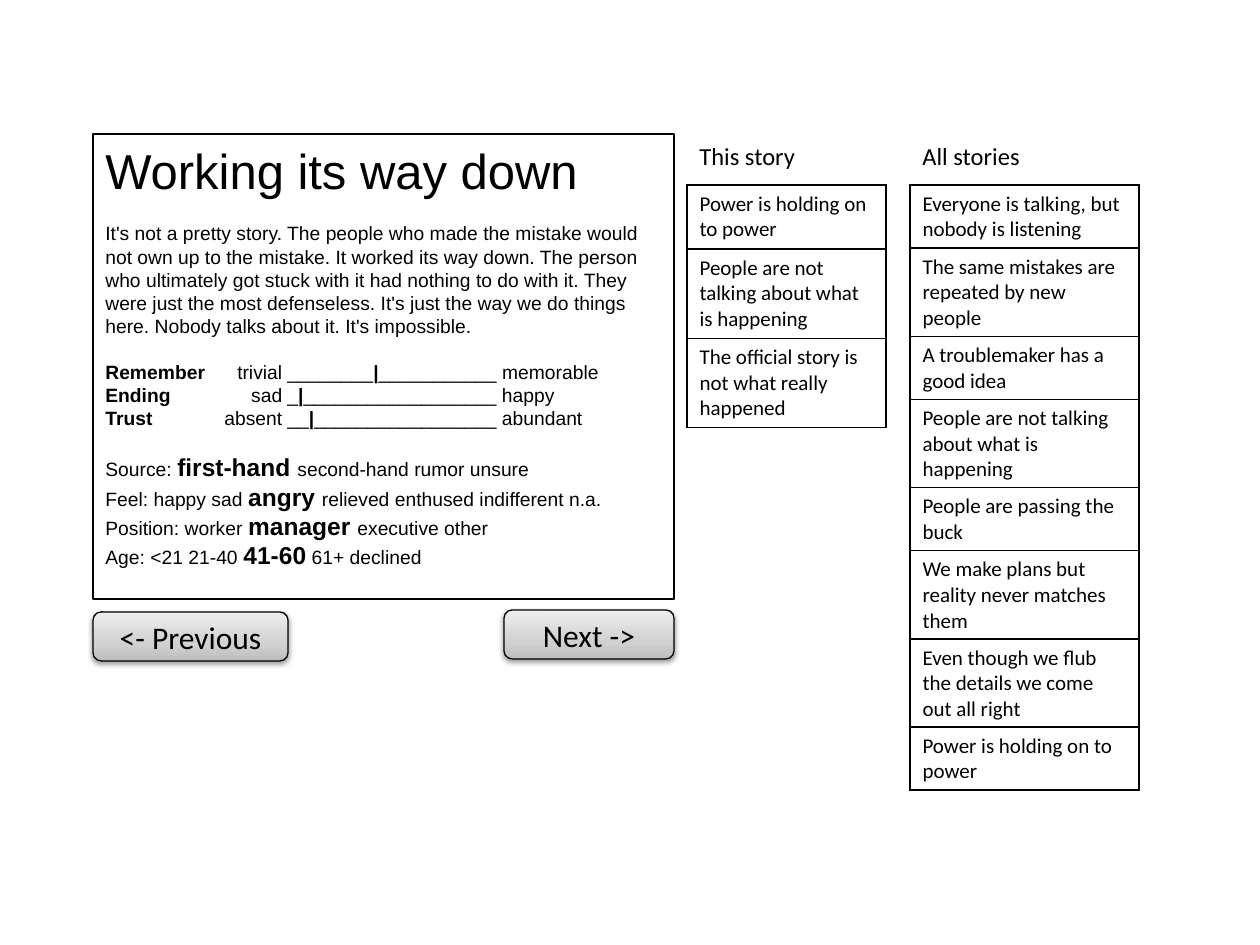
from lxml.etree import SubElement
from pptx import Presentation
from pptx.dml.color import RGBColor as Rgb
from pptx.enum.shapes import MSO_SHAPE as Kind
from pptx.enum.text import MSO_ANCHOR as Anchor, PP_ALIGN as Align
from pptx.oxml.ns import qn
from pptx.util import Pt

PX = 914400 // 126
HUE = {"ink": "000000", "low": "BDBDBD", "mid": "D1D1D1", "high": "EEEEEE"}
GRAD = [(0, "low"), (35, "mid"), (100, "high")]
GAP = 13
TABS = [("r", 177), ("l", 182)]
TITLE = "Working its way down"
STORY = (
    "It's not a pretty story. The people who made the mistake would not own up "
    "to the mistake. It worked its way down. The person who ultimately got stuck "
    "with it had nothing to do with it. They were just the most defenseless. "
    "It's just the way we do things here. Nobody talks about it. It's impossible."
)
SCALES = [
    ("Remember", "trivial", 8, 11, "memorable"),
    ("Ending", "sad", 1, 18, "happy"),
    ("Trust", "absent", 2, 17, "abundant"),
]
FACTS = [
    ("Source: ", "first-hand ", "second-hand rumor unsure"),
    ("Feel: happy sad ", "angry ", "relieved enthused indifferent n.a."),
    ("Position: worker ", "manager ", "executive other"),
    ("Age: <21 21-40 ", "41-60", " 61+ declined"),
]
LISTS = [
    ("This story", 687, 122, 199, 240, [
        "Power is holding on to power",
        "People are not talking about what is happening",
        "The official story is not what really happened",
    ]),
    ("All stories", 910, 123, 229, 605, [
        "Everyone is talking, but nobody is listening",
        "The same mistakes are repeated by new people",
        "A troublemaker has a good idea",
        "People are not talking about what is happening",
        "People are passing the buck",
        "We make plans but reality never matches them",
        "Even though we flub the details we come out all right",
        "Power is holding on to power",
    ]),
]
BUTTONS = [("Next ->", (504, 610, 170, 49)), ("<- Previous", (93, 612, 195, 49))]


def emu(*nums):
    """Turn px into EMU."""
    return [num * PX for num in nums]


def put(obj, **vals):
    """Set each given attribute."""
    for key, val in vals.items():
        setattr(obj, key, val)


def tint(elem, name, **attrs):
    """Add a colour to an XML element and return it."""
    return SubElement(elem, qn("a:srgbClr"), val=HUE[name], **attrs)


def write(para, text, size, face="Calibri", bold=False):
    """Add a run to a paragraph."""
    run = para.add_run()
    run.text = text
    put(run.font, size=Pt(size), name=face, bold=bold)
    run.font.color.rgb = Rgb.from_string(HUE["ink"])


def add_box(slide, kind, area, width):
    """Add an outlined shape with no fill and no shadow."""
    box = slide.shapes.add_shape(kind, *emu(*area))
    box.shadow.inherit = False
    box.fill.background()
    box.line.color.rgb = Rgb.from_string(HUE["ink"])
    box.line.width = Pt(width)
    return box


def add_para(frame, parts, gap=0):
    """Add a left paragraph of (text, size, bold) parts."""
    para = frame.paragraphs[0]
    if para.runs:
        para = frame.add_paragraph()
    put(para, alignment=Align.LEFT, space_before=Pt(gap))
    for text, size, bold in parts:
        write(para, text, size, "Arial", bold)
    return para


def add_tabs(para):
    """Give a paragraph the tab stops of the scales."""
    tabs = SubElement(para._p.get_or_add_pPr(), qn("a:tabLst"))
    for side, pos in TABS:
        SubElement(tabs, qn("a:tab"), pos=str(pos * PX), algn=side)


def add_card(slide):
    """Add the framed story with its scales and facts."""
    frame = add_box(slide, Kind.RECTANGLE, (93, 134, 581, 465), 1.5).text_frame
    put(frame, word_wrap=True, vertical_anchor=Anchor.TOP)
    add_para(frame, [(TITLE, 28, False)])
    add_para(frame, [(STORY, 11, False)], GAP)
    for row, (name, low, left, right, high) in enumerate(SCALES):
        parts = [(name, 11, True), (f"\t{low}\t{'_' * left}", 11, False),
                 ("|", 11, True), (f"{'_' * right} {high}", 11, False)]
        add_tabs(add_para(frame, parts, 0 if row else GAP))
    for row, (lead, pick, rest) in enumerate(FACTS):
        parts = [(lead, 11, False), (pick, 14, True), (rest, 11, False)]
        add_para(frame, parts, 0 if row else GAP)


def add_button(slide, text, area):
    """Add a shaded button with a soft shadow."""
    box = add_box(slide, Kind.ROUNDED_RECTANGLE, area, 0.75)
    box.fill.gradient()
    box.fill.gradient_angle = 90
    props = box._element.spPr
    stops = props.find(qn("a:gradFill")).find(qn("a:gsLst"))
    stops.clear()
    for pos, name in GRAD:
        tint(SubElement(stops, qn("a:gs"), pos=str(pos * 1000)), name)
    shade = SubElement(props.find(qn("a:effectLst")), qn("a:outerShdw"),
                       blurRad=str(Pt(3.1)), dist=str(Pt(1.6)),
                       dir="5400000", rotWithShape="0")
    SubElement(tint(shade, "ink"), qn("a:alpha"), val="38000")
    frame = box.text_frame
    put(frame, vertical_anchor=Anchor.MIDDLE, word_wrap=True)
    frame.paragraphs[0].alignment = Align.CENTER
    write(frame.paragraphs[0], text, 18)


def add_label(slide, text, area):
    """Add a list heading."""
    frame = slide.shapes.add_textbox(*emu(*area)).text_frame
    frame.word_wrap = False
    write(frame.paragraphs[0], text, 14)


def add_list(slide, items, area):
    """Add a one-column table of statements."""
    host = slide.shapes.add_table(len(items), 1, *emu(*area))
    table = host.table
    put(table, first_row=False, horz_banding=False)
    for row, text in enumerate(items):
        table.rows[row].height = (38 if row else 48) * PX
        cell = table.cell(row, 0)
        props = cell._tc.get_or_add_tcPr()
        for side in "LRTB":
            line = SubElement(props, qn(f"a:ln{side}"), w=str(Pt(1)))
            tint(SubElement(line, qn("a:solidFill")), "ink")
        cell.fill.background()
        write(cell.text_frame.paragraphs[0], text, 12)
    host.height = area[3] * PX


def main():
    """Build and save the slide."""
    deck = Presentation()
    put(deck, slide_width=1260 * PX, slide_height=945 * PX)
    slide = deck.slides.add_slide(deck.slide_layouts[6])
    add_card(slide)
    for text, area in BUTTONS:
        add_button(slide, text, area)
    for head, left, span, width, height, items in LISTS:
        add_list(slide, items, (left, 185, width, height))
        add_label(slide, head, (left, 135, span, 43))
    deck.save("out.pptx")


if __name__ == "__main__":
    main()
